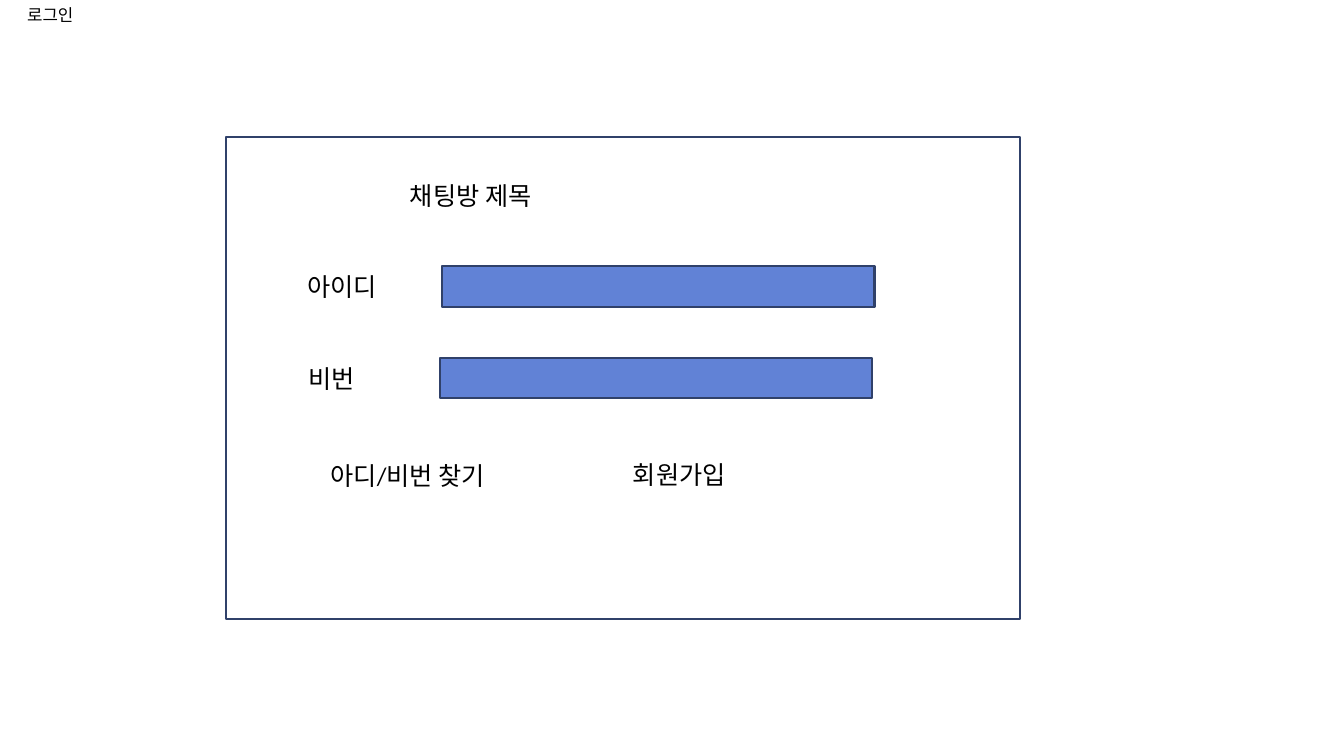
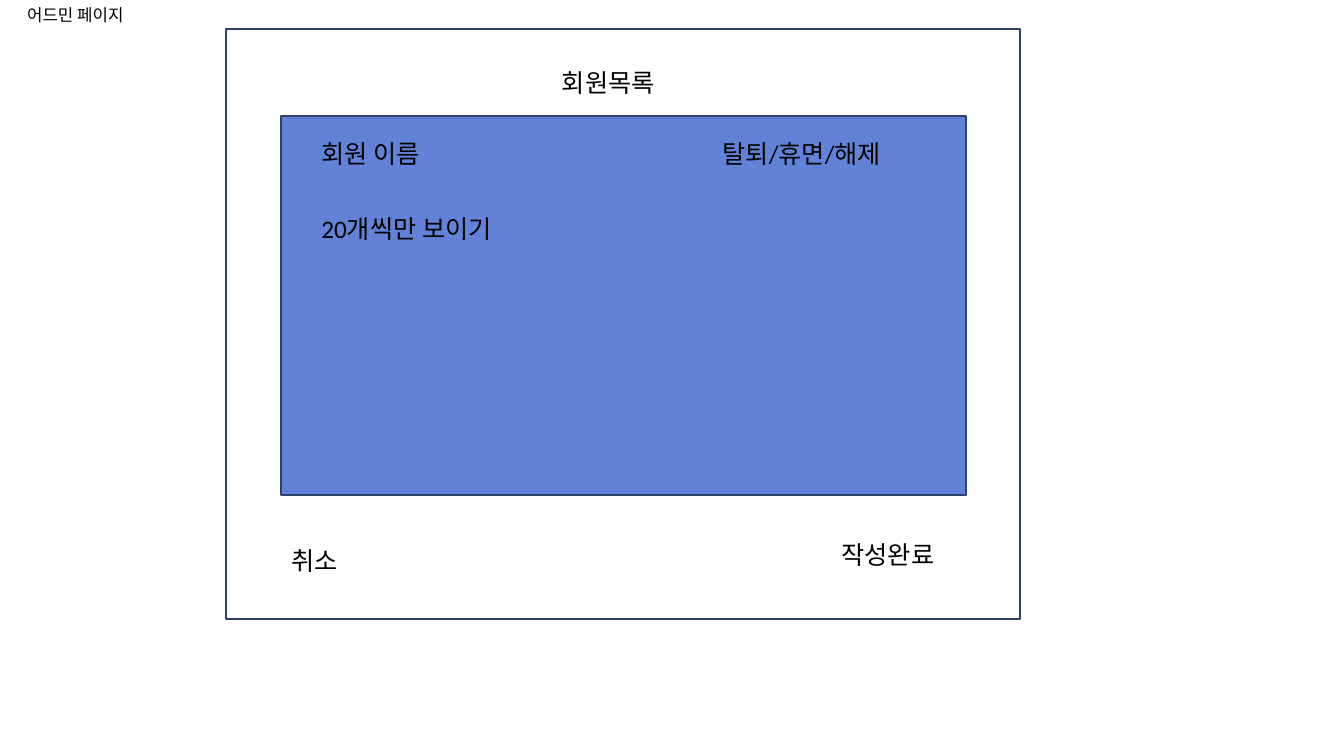
from dataclasses import dataclass

from pptx import Presentation
from pptx.dml.color import RGBColor
from pptx.enum.shapes import MSO_SHAPE as Shape
from pptx.enum.text import MSO_ANCHOR as Anchor, MSO_AUTO_SIZE as AutoSize, PP_ALIGN as Align
from pptx.slide import Slide
from pptx.text.text import TextFrame
from pptx.util import Pt

FONT = "Calibri"
BLACK, WHITE, BLUE, NAVY = "000000", "FFFFFF", "6182D6", "30416A"
HEADING_SIZE, LABEL_SIZE = 12, 18
LABEL_HEIGHT = 29
FRAME_LEFT, FRAME_WIDTH, FRAME_BOTTOM = 161.3, 567.4, 442.1


@dataclass(frozen=True)
class Panel:
    left: float
    top: float
    width: float
    height: float
    fill: str = BLUE


@dataclass(frozen=True)
class Label:
    text: str
    left: float
    top: float
    width: float
    align: Align = Align.LEFT


@dataclass(frozen=True)
class Screen:
    heading: str
    frame_top: float
    panels: tuple[Panel, ...]
    labels: tuple[Label, ...]


ID_TOP, PASSWORD_TOP = 190, 255.6
FIELD_WIDTH = 308.9
LIST_LEFT, LIST_TEXT_LEFT = 200.9, 222.5
LIST_HEADER_TOP = 95

SCREENS = (
    Screen(
        "로그인",
        97.9,
        (
            Panel(315.8, ID_TOP, FIELD_WIDTH, LABEL_HEIGHT),
            Panel(314.2, PASSWORD_TOP, FIELD_WIDTH, LABEL_HEIGHT),
        ),
        (
            Label("채팅방 제목", 285.8, 125.3, 247.7),
            Label("아이디", 212.4, ID_TOP, 73.4),
            Label("비번", 213.1, PASSWORD_TOP, 73.4),
            Label("아디/비번 찾기", 229, 325.4, 135.4),
            Label("회원가입", 445, 324.7, 135.4),
        ),
    ),
    Screen(
        "어드민 페이지",
        20.9,
        (Panel(LIST_LEFT, 82.8, 488.9, 270.7),),
        (
            Label("회원목록", 188.6, 44.6, 491.8, Align.CENTER),
            Label("회원 이름", LIST_TEXT_LEFT, LIST_HEADER_TOP, 152.6),
            Label("탈퇴/휴면/해제", 509, LIST_HEADER_TOP, 152.6),
            Label("20개씩만 보이기", LIST_TEXT_LEFT, 149, 152.6),
            Label("취소", LIST_LEFT, 385.9, 97.9),
            Label("작성완료", 594, 381.6, 97.9),
        ),
    ),
)


def color(value: str) -> RGBColor:
    return RGBColor.from_string(value)


def write(frame: TextFrame, text: str, size: float, align: Align) -> None:
    frame.text = text
    frame.word_wrap = True
    frame.auto_size = AutoSize.SHAPE_TO_FIT_TEXT
    frame.vertical_anchor = Anchor.TOP
    paragraph = frame.paragraphs[0]
    paragraph.alignment = align
    paragraph.font.name = FONT
    paragraph.font.size = Pt(size)
    paragraph.font.color.rgb = color(BLACK)


def set_heading(page: Slide, text: str) -> None:
    title = page.shapes.title
    title.left, title.top, title.width, title.height = Pt(12.2), Pt(0), Pt(176.4), Pt(21)
    write(title.text_frame, text, HEADING_SIZE, Align.LEFT)


def add_panel(page: Slide, panel: Panel) -> None:
    box = page.shapes.add_shape(
        Shape.RECTANGLE, Pt(panel.left), Pt(panel.top), Pt(panel.width), Pt(panel.height)
    )
    box.shadow.inherit = False
    box.fill.solid()
    box.fill.fore_color.rgb = color(panel.fill)
    box.line.color.rgb = color(NAVY)
    box.line.width = Pt(1.5)


def add_label(page: Slide, label: Label) -> None:
    box = page.shapes.add_textbox(
        Pt(label.left), Pt(label.top), Pt(label.width), Pt(LABEL_HEIGHT)
    )
    write(box.text_frame, label.text, LABEL_SIZE, label.align)


def add_screen(deck: Presentation, screen: Screen) -> None:
    title_only = deck.slide_layouts.get_by_name("Title Only")
    page = deck.slides.add_slide(title_only)
    set_heading(page, screen.heading)
    frame_height = FRAME_BOTTOM - screen.frame_top
    frame = Panel(FRAME_LEFT, screen.frame_top, FRAME_WIDTH, frame_height, WHITE)
    for panel in (frame, *screen.panels):
        add_panel(page, panel)
    for label in screen.labels:
        add_label(page, label)


def main() -> None:
    deck = Presentation()
    deck.slide_width, deck.slide_height = Pt(960), Pt(540)
    for screen in SCREENS:
        add_screen(deck, screen)
    deck.save("out.pptx")


if __name__ == "__main__":
    main()
